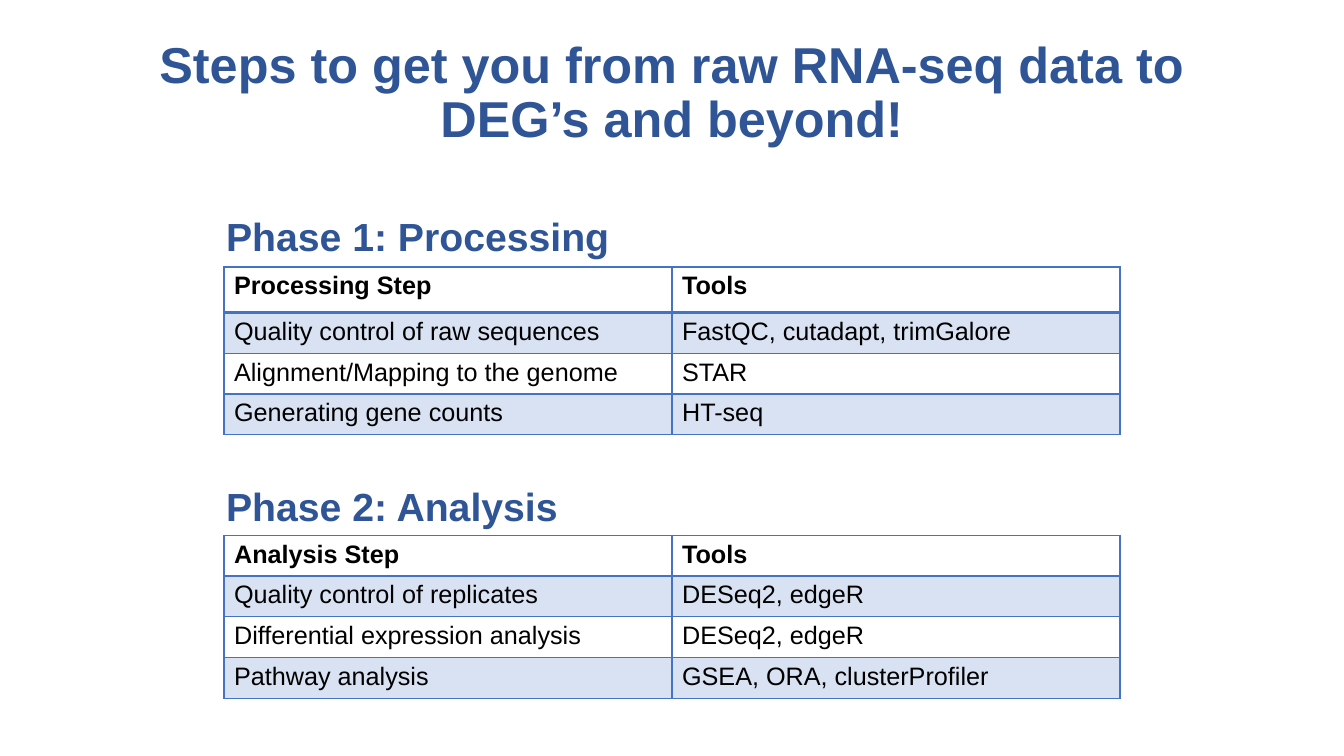
from dataclasses import dataclass
from typing import Any

from lxml.etree import SubElement
from pptx import Presentation
from pptx.dml.color import RGBColor
from pptx.enum.text import MSO_ANCHOR, MSO_AUTO_SIZE, PP_ALIGN
from pptx.oxml.ns import qn
from pptx.util import Emu, Inches, Pt

SLIDE_WIDTH = Inches(13.33)
SLIDE_HEIGHT = Inches(7.5)
GRID_COLUMNS = 12
GRID_ROWS = 100
TABLE_LEFT = 2
STEP_SPAN = 4
HEADING_LEFT = 1.93
HEADING_HEIGHT = 7.6
ROW_HEIGHT = 5.4
NAVY = "2F5597"
BLUE = "4472C4"
BLACK = "000000"
WHITE = "FFFFFF"
TITLE_FONT = {"name": "Arial", "size": Pt(36), "bold": True}
HEADING_FONT = {"name": "Arial", "size": Pt(28), "bold": True}
COLUMN_FONT = {"name": "Arial", "size": Pt(18), "bold": True}
STEP_FONT = {"name": "Arial", "size": Pt(18), "bold": False}


@dataclass(frozen=True)
class Phase:
    heading: str
    heading_top: float
    heading_span: float
    table_top: float
    header_height: float
    steps: tuple[tuple[str, str], ...]


PHASES = (
    Phase("Phase 1: Processing", 27.47, 3.71, 35.33, 6, (
        ("Processing Step", "Tools"),
        ("Quality control of raw sequences", "FastQC, cutadapt, trimGalore"),
        ("Alignment/Mapping to the genome", "STAR"),
        ("Generating gene counts", "HT-seq"),
    )),
    Phase("Phase 2: Analysis", 63.2, 3.25, 70.8, ROW_HEIGHT, (
        ("Analysis Step", "Tools"),
        ("Quality control of replicates", "DESeq2, edgeR"),
        ("Differential expression analysis", "DESeq2, edgeR"),
        ("Pathway analysis", "GSEA, ORA, clusterProfiler"),
    )),
)


def columns(count: float) -> Emu:
    return Emu(round(SLIDE_WIDTH * count / GRID_COLUMNS))


def rows(count: float) -> Emu:
    return Emu(round(SLIDE_HEIGHT * count / GRID_ROWS))


def color(hex_value: str) -> RGBColor:
    return RGBColor.from_string(hex_value)


def assign(target: Any, values: dict[str, Any]) -> None:
    for name, value in values.items():
        setattr(target, name, value)


def write(frame: Any, wording: str, font: dict[str, Any], hex_value: str) -> None:
    frame.text = wording
    run = frame.paragraphs[0].runs[0]
    assign(run.font, font)
    run.font.color.rgb = color(hex_value)


def draw_borders(cell: Any, widths: dict[str, float]) -> None:
    properties = cell._tc.get_or_add_tcPr()
    for position, (side, width) in enumerate(widths.items()):
        border = SubElement(properties, qn(f"a:{side}"), w=str(Pt(width)))
        stroke = SubElement(border, qn("a:solidFill"))
        SubElement(stroke, qn("a:srgbClr"), val=BLUE)
        properties.insert(position, border)


def shade(cell: Any, banded: bool) -> None:
    cell.fill.solid()
    cell.fill.fore_color.rgb = color(BLUE if banded else WHITE)
    if banded:
        tint = cell._tc.tcPr.find(qn("a:solidFill")).find(qn("a:srgbClr"))
        SubElement(tint, qn("a:alpha"), val="20000")


def draw_title(slide: Any) -> None:
    title = slide.shapes.title
    assign(title, {"left": columns(0.72), "top": rows(2.8),
                   "width": columns(10.56), "height": rows(19.33)})
    frame = title.text_frame
    write(frame, "Steps to get you from raw RNA-seq data to DEG’s and beyond!", TITLE_FONT, NAVY)
    assign(frame, {"vertical_anchor": MSO_ANCHOR.MIDDLE, "word_wrap": True,
                   "auto_size": MSO_AUTO_SIZE.NONE})
    assign(frame.paragraphs[0], {"alignment": PP_ALIGN.CENTER, "line_spacing": 0.9})


def draw_heading(slide: Any, phase: Phase) -> None:
    heading = slide.shapes.add_textbox(
        columns(HEADING_LEFT), rows(phase.heading_top),
        columns(phase.heading_span), rows(HEADING_HEIGHT))
    write(heading.text_frame, phase.heading, HEADING_FONT, NAVY)
    assign(heading.text_frame, {"word_wrap": False, "auto_size": MSO_AUTO_SIZE.SHAPE_TO_FIT_TEXT})


def draw_steps(slide: Any, phase: Phase) -> None:
    heights = [phase.header_height] + [ROW_HEIGHT] * (len(phase.steps) - 1)
    table = slide.shapes.add_table(
        len(phase.steps), 2, columns(TABLE_LEFT), rows(phase.table_top),
        columns(2 * STEP_SPAN), rows(sum(heights))).table
    assign(table, {"first_row": False, "horz_banding": False})
    for column in table.columns:
        column.width = columns(STEP_SPAN)
    for index, (step, height) in enumerate(zip(phase.steps, heights)):
        table.rows[index].height = rows(height)
        for side, wording in enumerate(step):
            cell = table.cell(index, side)
            write(cell.text_frame, wording, STEP_FONT if index else COLUMN_FONT, BLACK)
            shade(cell, index % 2 == 1)
            draw_borders(cell, {"lnL": 1, "lnR": 1,
                                "lnT": 2 if index == 1 else 1,
                                "lnB": 2 if index == 0 else 1})


def main() -> None:
    presentation = Presentation()
    assign(presentation, {"slide_width": SLIDE_WIDTH, "slide_height": SLIDE_HEIGHT})
    slide = presentation.slides.add_slide(presentation.slide_layouts[5])
    draw_title(slide)
    for phase in PHASES:
        draw_steps(slide, phase)
        draw_heading(slide, phase)
    presentation.save("out.pptx")


if __name__ == "__main__":
    main()
